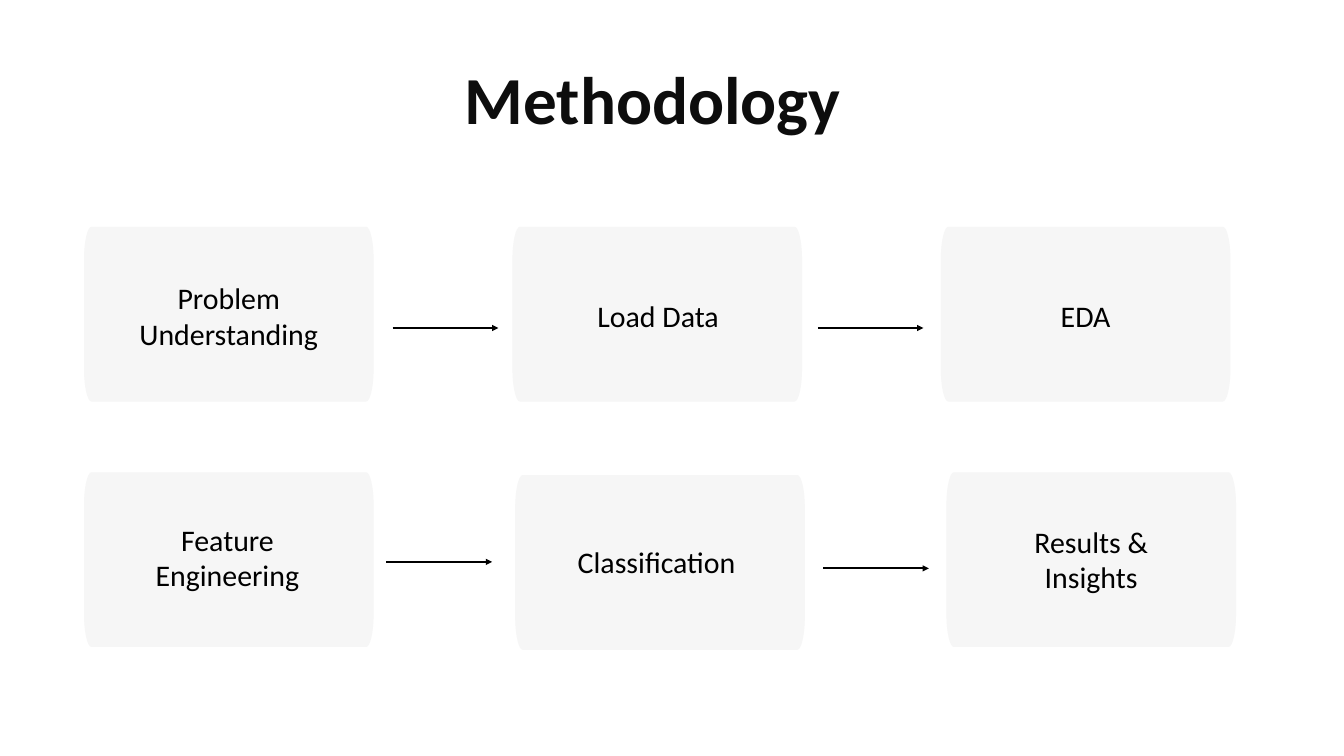
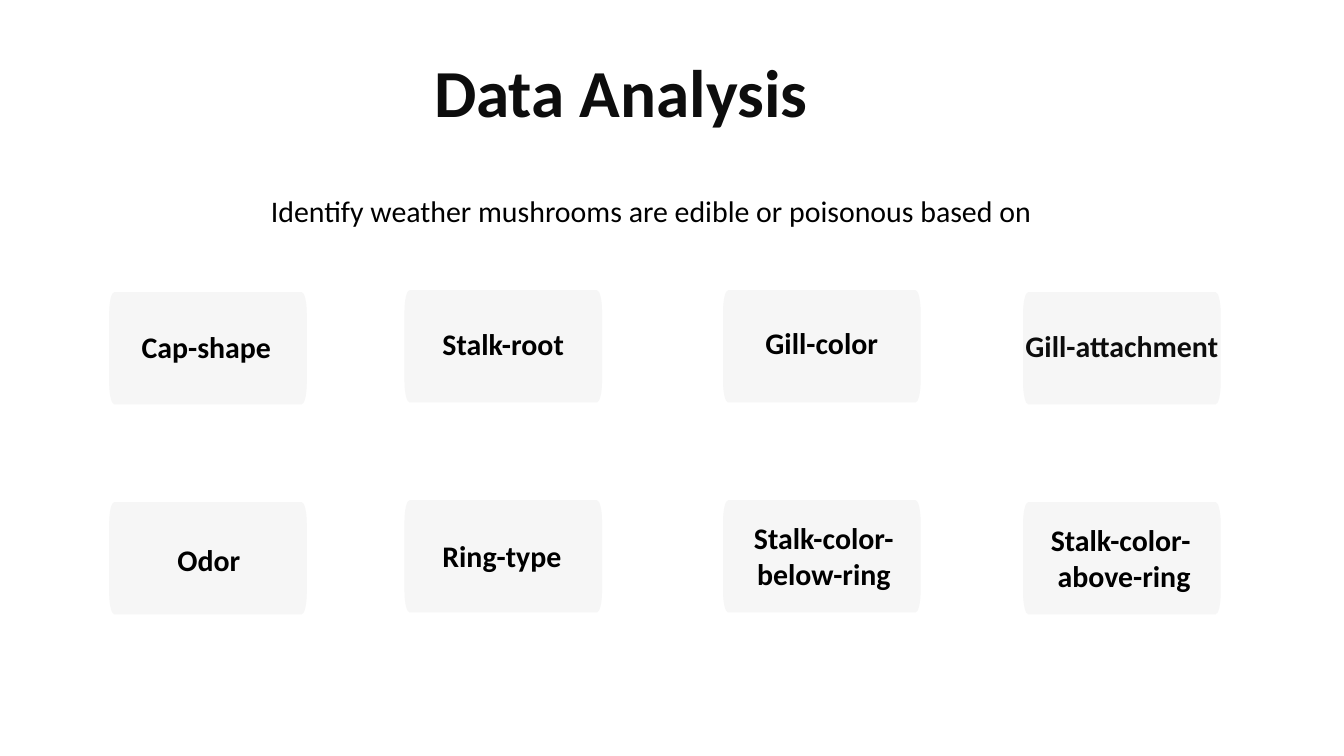
from dataclasses import dataclass

from lxml import etree
from pptx import Presentation
from pptx import util as u
from pptx.dml.color import RGBColor
from pptx.enum import shapes, text
from pptx.oxml.ns import qn
from pptx.shapes.autoshape import Shape
from pptx.slide import Slide


@dataclass(frozen=True)
class Theme:
    font: str = "Calibri"
    ink: str = "000000"
    heading: str = "0D0D0D"
    card: str = "F1F1F1"
    card_alpha: int = 64000
    title_size: float = 72
    body_size: float = 32
    title_spacing: float = 84.9
    body_spacing: float = 87.6
    arrow_width: float = 2.25


THEME = Theme()


@dataclass(frozen=True)
class Area:
    left: float
    top: float
    width: float
    height: float


@dataclass(frozen=True)
class Label:
    """Words of a card; dx and dy shift them from the centre of the card."""
    words: str
    width: float
    dx: float = 0
    dy: float = 0
    lines: int = 1
    padded: bool = True
    bold: bool = False
    color: str = THEME.ink


@dataclass(frozen=True)
class Card:
    area: Area
    label: Label


@dataclass(frozen=True)
class Arrow:
    left: float
    top: float
    length: float = 113.2


LINE_HEIGHT = 39
PADDING_X, PADDING_Y = 7.2, 3.6
CORNER_X, CORNER_Y = 0.026, 0.19
CURVE_PULL = 0.55
TITLE_WIDTH, TITLE_HEIGHT = 510.5, 85.7

STEP_WIDTH, STEP_HEIGHT, STEP_LEFT = 310.3, 187.2, 90
# Each row: column pitch, tops, labels
STEP_ROWS = [
    (459, (243, 243, 243), (
        Label("Problem Understanding", 226.8, dy=1.8, lines=2),
        Label("Load Data ", 226.8, dx=4.6, dy=1.8),
        Label("EDA", 226.8, dy=1.8))),
    (462, (506, 509, 506), (
        Label("Feature Engineering", 226.8, dx=-1.4, dy=-2, lines=2),
        Label("Classification ", 226.8, dy=-0.7),
        Label("Results & Insights", 226.8, lines=2))),
]
STEP_ARROWS = [Arrow(420.8, 351.4), Arrow(876.2, 351.4),
               Arrow(414, 602), Arrow(882, 609)]

FEATURE_WIDTH, FEATURE_HEIGHT = 211.7, 120.2
FEATURE_COLUMNS = [(117, 313), (433.4, 311), (774.7, 311), (1096.2, 313)]
FEATURE_ROW_PITCH = 225
FEATURE_ROWS = [
    (Label("Cap-shape", 193.7, dx=-1.7, dy=-1.6, padded=False, bold=True),
     Label("Stalk-root", 242.6, dy=-2.8, bold=True),
     Label("Gill-color", 242.6, dy=-3.2, bold=True),
     Label("Gill-attachment", 211.7, dy=-3, padded=False, bold=True,
           color=THEME.heading)),
    (Label("Odor", 193.7, dx=0.9, dy=1.4, padded=False, bold=True),
     Label("Ring-type", 211.7, dx=-1.4, bold=True),
     Label("Stalk-color-\nbelow-ring", 351.4, dx=2.2, lines=2, bold=True),
     Label("Stalk-color- \nabove-ring", 380.9, dx=2.3, dy=-0.4, lines=2,
           bold=True)),
]


def place(shape: Shape, area: Area) -> None:
    for name in ("left", "top", "width", "height"):
        setattr(shape, name, u.Pt(getattr(area, name)))


def write(shape: Shape, words: str, size: float, color: str, bold: bool,
          padded: bool = False, spacing: float | None = None) -> None:
    """Fill a text shape with centred paragraphs, one for each line of words."""
    side, end = (PADDING_X, PADDING_Y) if padded else (0, 0)
    frame = shape.text_frame
    frame_format = {
        "word_wrap": True,
        "auto_size": text.MSO_AUTO_SIZE.NONE,
        "vertical_anchor": text.MSO_ANCHOR.TOP,
        "margin_left": u.Pt(side), "margin_right": u.Pt(side),
        "margin_top": u.Pt(end), "margin_bottom": u.Pt(end),
    }
    for name, value in frame_format.items():
        setattr(frame, name, value)
    frame.text = words
    font_format = {"name": THEME.font, "size": u.Pt(size), "bold": bold}
    for para in frame.paragraphs:
        para.alignment = text.PP_ALIGN.CENTER
        if spacing:
            para.line_spacing = u.Pt(spacing)
        for span in para.runs:
            for name, value in font_format.items():
                setattr(span.font, name, value)
            span.font.color.rgb = RGBColor.from_string(color)


def add_titled_slide(deck, title: str, left: float, top: float) -> Slide:
    page = deck.slides.add_slide(deck.slide_layouts[5])
    place(page.shapes.title, Area(left, top, TITLE_WIDTH, TITLE_HEIGHT))
    write(page.shapes.title, title, THEME.title_size, THEME.heading, True,
          spacing=THEME.title_spacing)
    return page


def add_text(page: Slide, area: Area, words: str, **options) -> None:
    sizes = (area.left, area.top, area.width, area.height)
    box = page.shapes.add_textbox(*map(u.Pt, sizes))
    write(box, words, THEME.body_size, **options)


def card_outline(area: Area) -> list[tuple[int, int]]:
    """Four points a corner, clockwise: curve start, two controls, curve end."""
    rx, ry = area.width * CORNER_X, area.height * CORNER_Y
    right, bottom = area.left + area.width, area.top + area.height
    centres = [(right - rx, bottom - ry), (area.left + rx, bottom - ry),
               (area.left + rx, area.top + ry), (right - rx, area.top + ry)]
    turns = [(1, 0), (0, 1), (-1, 0), (0, -1)]
    points = []
    for corner, (x, y) in enumerate(centres):
        (ax, ay), (bx, by) = turns[corner], turns[(corner + 1) % 4]
        for a, b in ((1, 0), (1, CURVE_PULL), (CURVE_PULL, 1), (0, 1)):
            points.append((u.Pt(x + rx * (a * ax + b * bx)),
                           u.Pt(y + ry * (a * ay + b * by))))
    return points


def round_corners(panel: Shape) -> None:
    """Turn the three lines that cross each corner into one curve."""
    lines = list(panel.element.iter(qn("a:lnTo")))
    for start in range(0, len(lines), 4):
        first, *others = lines[start:start + 3]
        curve = etree.Element(qn("a:cubicBezTo"))
        first.addprevious(curve)
        for line in (first, *others):
            curve.append(line[0])
            line.getparent().remove(line)


def add_card(page: Slide, card: Card) -> None:
    area, label = card.area, card.label
    first, *rest = card_outline(area)
    builder = page.shapes.build_freeform(*first)
    builder.add_line_segments(rest, close=True)
    panel = builder.convert_to_shape()
    round_corners(panel)
    panel.shadow.inherit = False
    panel.line.fill.background()
    panel.fill.solid()
    panel.fill.fore_color.rgb = RGBColor.from_string(THEME.card)
    color = panel.element.spPr.find(f"{qn('a:solidFill')}/{qn('a:srgbClr')}")
    etree.SubElement(color, qn("a:alpha"), val=str(THEME.card_alpha))

    height = label.lines * LINE_HEIGHT + (2 * PADDING_Y if label.padded else 0)
    left = area.left + (area.width - label.width) / 2 + label.dx
    top = area.top + (area.height - height) / 2 + label.dy
    add_text(page, Area(left, top, label.width, height), label.words,
             color=label.color, bold=label.bold, padded=label.padded)


def add_arrow(page: Slide, arrow: Arrow) -> None:
    ends = (arrow.left, arrow.top, arrow.left + arrow.length, arrow.top)
    connector = page.shapes.add_connector(
        shapes.MSO_CONNECTOR.STRAIGHT, *map(u.Pt, ends))
    connector.line.width = u.Pt(THEME.arrow_width)
    connector.line.color.rgb = RGBColor.from_string(THEME.ink)
    properties = connector.element.spPr
    etree.SubElement(properties.find(qn("a:ln")), qn("a:tailEnd"),
                     type="triangle")
    etree.SubElement(properties, qn("a:effectLst"))


def build_methodology(deck) -> None:
    page = add_titled_slide(deck, "Methodology", 444.2, 63.4)
    for pitch, tops, labels in STEP_ROWS:
        for column, (top, label) in enumerate(zip(tops, labels)):
            area = Area(STEP_LEFT + column * pitch, top,
                        STEP_WIDTH, STEP_HEIGHT)
            add_card(page, Card(area, label))
    for arrow in STEP_ARROWS:
        add_arrow(page, arrow)


def build_data_analysis(deck) -> None:
    page = add_titled_slide(deck, "Data Analysis ", 418.3, 55.4)
    add_text(page, Area(150, 157, 1095.8, 74.9),
             "Identify weather mushrooms are edible or poisonous based on",
             color=THEME.ink, bold=False, spacing=THEME.body_spacing)
    for row, labels in enumerate(FEATURE_ROWS):
        for (left, top), label in zip(FEATURE_COLUMNS, labels):
            area = Area(left, top + row * FEATURE_ROW_PITCH,
                        FEATURE_WIDTH, FEATURE_HEIGHT)
            add_card(page, Card(area, label))


def main() -> None:
    deck = Presentation()
    deck.slide_width, deck.slide_height = u.Pt(1440), u.Pt(810)
    build_methodology(deck)
    build_data_analysis(deck)
    deck.save("out.pptx")


if __name__ == "__main__":
    main()
